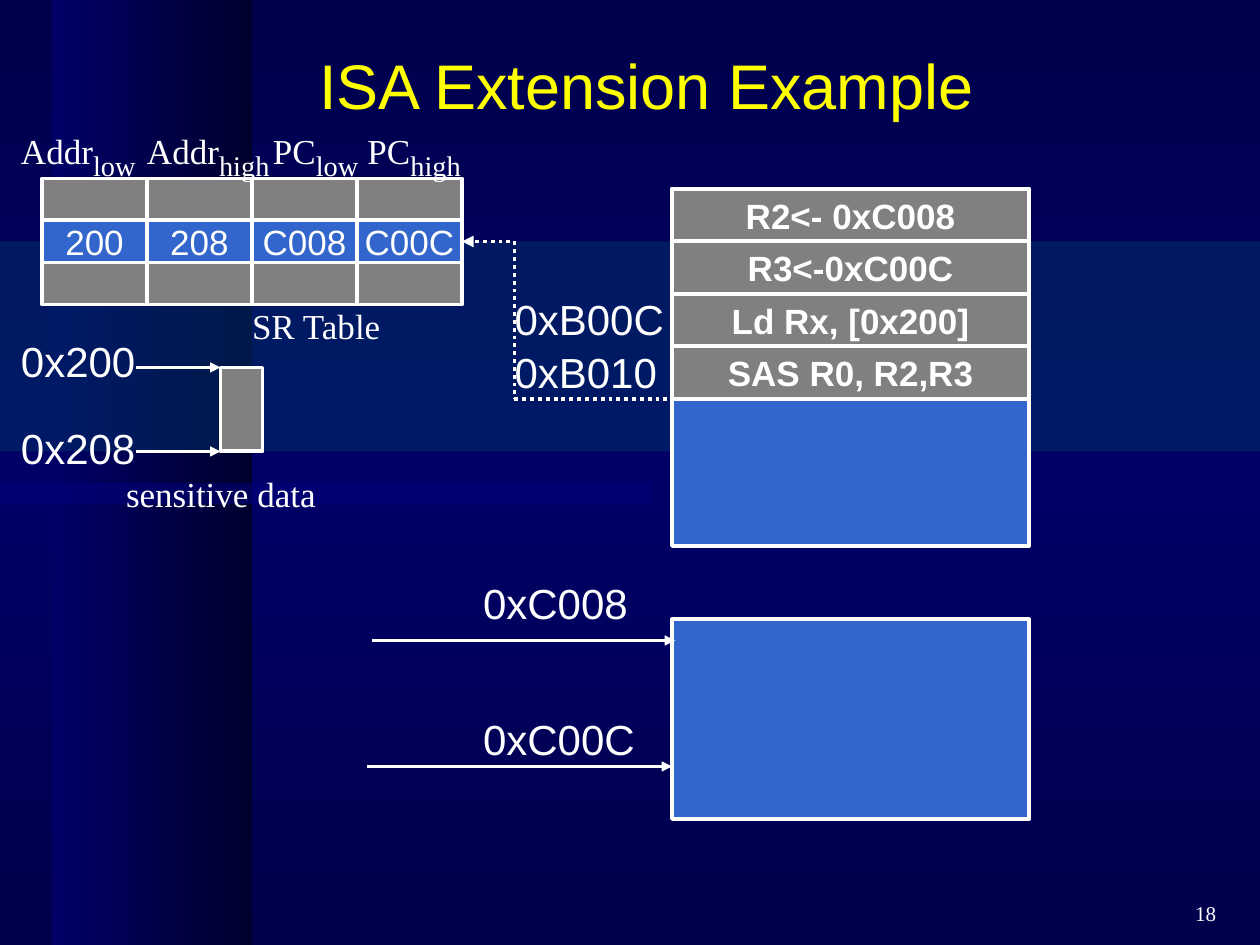
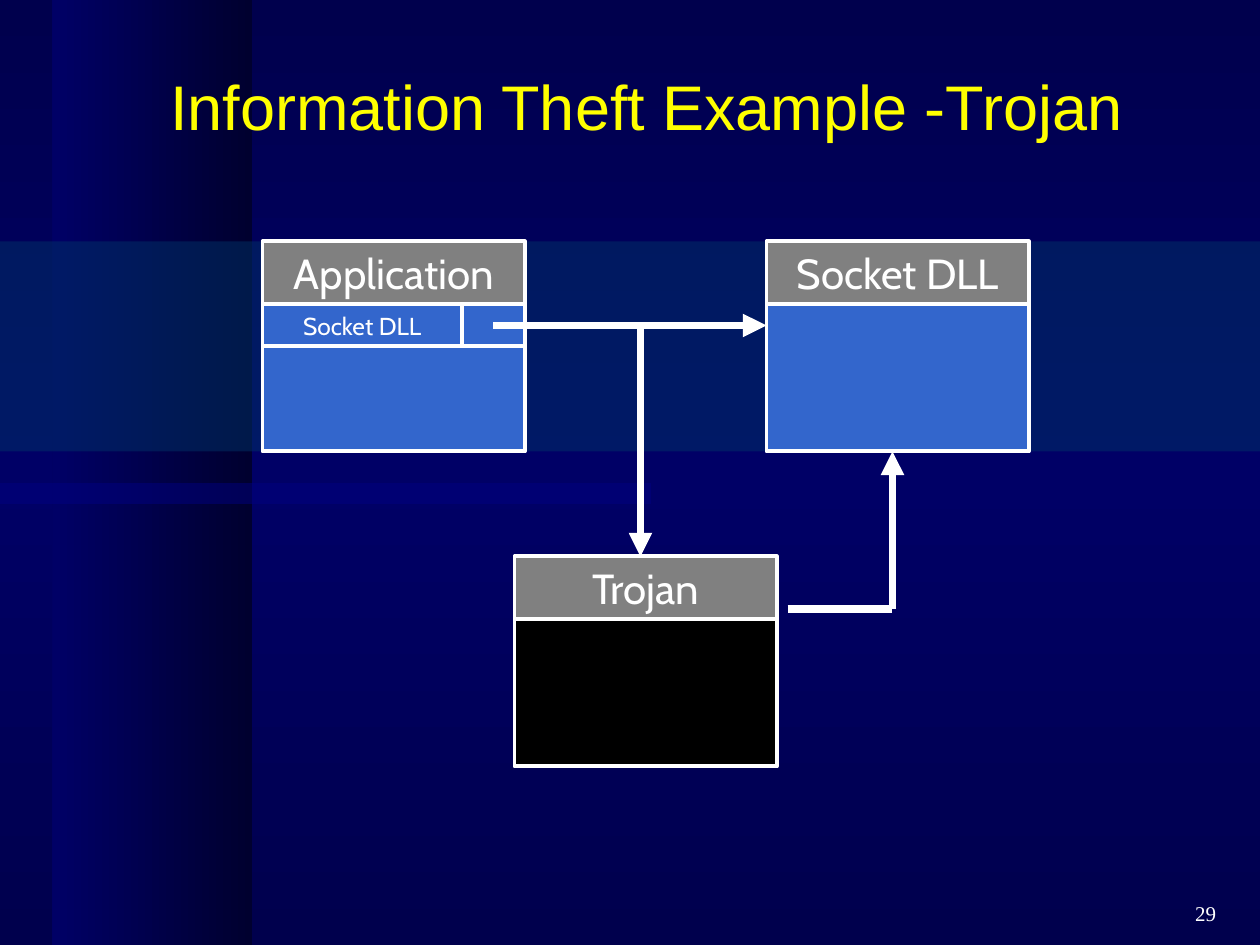
"""Build two slides on sensitive-data protection: an ISA extension and a Trojan example."""
from copy import deepcopy

from lxml.etree import SubElement
from pptx import Presentation
from pptx.dml.color import RGBColor
from pptx.enum.dml import MSO_LINE
from pptx.enum.shapes import MSO_CONNECTOR, MSO_SHAPE
from pptx.enum.text import MSO_ANCHOR as ANCHOR, PP_ALIGN as ALIGN
from pptx.oxml.ns import qn
from pptx.util import Inches, Pt

COLORS = {
    "edge": "00004D", "middle": "000066", "pillar_dark": "00002F",
    "strip": "000080", "band": "003366", "title": "FFFF00", "white": "FFFFFF",
    "gray": "808080", "blue": "3366CC", "black": "000000",
}
RGB = {name: RGBColor.from_string(value) for name, value in COLORS.items()}
SERIF = "Times New Roman"

presentation = Presentation()
presentation.slide_width, presentation.slide_height = Inches(10), Inches(7.5)
COLUMN = presentation.slide_width / 120
ROW = presentation.slide_height / 90


def add_box(slide, left, top, width, height, text="", size=20, font="Arial",
            color="white", fill=None):
    """Add a filled, outlined rectangle, or a plain label when there is no fill."""
    place = [round(left * COLUMN), round(top * ROW), round(width * COLUMN), round(height * ROW)]
    if fill:
        shape = slide.shapes.add_shape(MSO_SHAPE.RECTANGLE, *place)
        shape.shadow.inherit = False
        shape.fill.solid()
        shape.fill.fore_color.rgb = RGB[fill]
        shape.line.color.rgb = RGB["white"]
        shape.line.width = Pt(2.25)
    else:
        shape = slide.shapes.add_textbox(*place)
    frame = shape.text_frame
    frame.word_wrap = not fill
    if fill:
        frame.vertical_anchor = ANCHOR.MIDDLE
    else:
        frame.margin_left = frame.margin_right = frame.margin_top = frame.margin_bottom = 0
    if text:
        frame.text = text
        paragraph = frame.paragraphs[0]
        paragraph.alignment = ALIGN.CENTER if fill else ALIGN.LEFT
        run_font = paragraph.runs[0].font
        run_font.name, run_font.size = font, Pt(size)
        run_font.color.rgb = RGB[color]
    return shape


def add_line(slide, start, end, width, arrow=True, dotted=False):
    """Add a white straight line between two grid points."""
    (x1, y1), (x2, y2) = start, end
    line = slide.shapes.add_connector(
        MSO_CONNECTOR.STRAIGHT, round(x1 * COLUMN), round(y1 * ROW),
        round(x2 * COLUMN), round(y2 * ROW))
    line.line.color.rgb = RGB["white"]
    line.line.width = Pt(width)
    if dotted:
        line.line.dash_style = MSO_LINE.ROUND_DOT
    properties = line.element.spPr
    if arrow:
        SubElement(properties.find(qn("a:ln")), qn("a:tailEnd"), type="triangle")
    SubElement(properties, qn("a:effectLst"))
    return line


slides = []
for title, title_row, number in [("ISA Extension Example", 3, "18"),
                                 ("Information Theft Example -Trojan", 5, "29")]:
    slide = presentation.slides.add_slide(presentation.slide_layouts[6])
    slides.append(slide)

    background = slide.background.fill
    background.gradient()
    background.gradient_angle = 90
    for stop, color, position in zip(background.gradient_stops, ["edge", "middle"], [0, 0.5]):
        stop.color.rgb = RGB[color]
        stop.position = position
    stop_list = slide.element.find(".//" + qn("a:gsLst"))
    last_stop = deepcopy(stop_list[0])
    last_stop.set("pos", "100000")
    stop_list.append(last_stop)

    pillar = add_box(slide, 5, 0, 19, 90, fill="pillar_dark")
    pillar.line.fill.background()
    pillar.fill.gradient()
    pillar.fill.gradient_angle = 180
    for stop, color in zip(pillar.fill.gradient_stops, ["pillar_dark", "middle"]):
        stop.color.rgb = RGB[color]

    for top, width, height, color in [(46, 62, 2, "strip"), (23, 120, 20, "band")]:
        band = add_box(slide, 0, top, width, height, fill=color)
        band.line.fill.background()
        fill_color = band.element.spPr.find(qn("a:solidFill"))[0]
        SubElement(fill_color, qn("a:alpha"), val="50000")

    title_box = add_box(slide, 0, title_row, 120, 10, title, 36, color="title")
    title_box.text_frame.margin_left = Inches(0.36)
    title_box.text_frame.margin_right = Inches(0.1)
    number_box = add_box(slide, 92, 84, 25, 6, number, 12, SERIF)
    number_box.text_frame.margin_right = Inches(0.1)
    for shape, alignment in [(title_box, ALIGN.CENTER), (number_box, ALIGN.RIGHT)]:
        shape.text_frame.vertical_anchor = ANCHOR.MIDDLE
        shape.text_frame.paragraphs[0].alignment = alignment

isa_slide, trojan_slide = slides

add_box(isa_slide, 64, 18, 34, 34, fill="blue")
add_box(isa_slide, 64, 59, 34, 19, fill="blue")
add_box(isa_slide, 21, 35, 4, 8, fill="gray")

for index, instruction in enumerate(
        ["R2<- 0xC008", "R3<-0xC00C", "Ld Rx, [0x200]", "SAS R0, R2,R3"]):
    box = add_box(isa_slide, 64, 18 + 5 * index, 34, 5, instruction, fill="gray")
    box.text_frame.paragraphs[0].runs[0].font.bold = True

for row in (0, 2):
    for column in range(4):
        add_box(isa_slide, 4 + 10 * column, 17 + 4 * row, 10, 4, fill="gray")
for column, value in enumerate(["200", "208", "C008", "C00C"]):
    last_entry = add_box(isa_slide, 4 + 10 * column, 21, 10, 4, value, fill="blue")

for left, name, subscript in [(2, "Addr", "low"), (14, "Addr", "high"),
                              (26, "PC", "low"), (35, "PC", "high")]:
    heading = add_box(isa_slide, left, 11, 14, 6.4, name, font=SERIF)
    run = heading.text_frame.paragraphs[0].add_run()
    run.text = subscript
    run.font.name, run.font.size = SERIF, Pt(28)
    run.font.color.rgb = RGB["white"]
    run.font.element.set("baseline", "-25000") if hasattr(run.font, "element") else \
        heading.element.findall(".//" + qn("a:rPr"))[-1].set("baseline", "-25000")

for left, top, width, address in [
        (2, 32, 11, "0x200"), (2, 40.2, 11, "0x208"), (49, 28, 16, "0xB00C"),
        (49, 33, 14, "0xB010"), (46, 55, 16, "0xC008"), (46, 68, 16, "0xC00C")]:
    add_box(isa_slide, left, top, width, 4.8, address, 24)
for left, top, caption in [(24, 29, "SR Table"), (12, 45, "sensitive data")]:
    add_box(isa_slide, left, top, 20, 4, caption, font=SERIF)

for start, end in [((13, 35), (21, 35)), ((13, 43), (21, 43)),
                   ((35.4, 61), (64.3, 61)), ((35, 73), (64, 73))]:
    add_line(isa_slide, start, end, 1.5)
table_arrow = add_line(isa_slide, (48.6, 23), (44, 23), 2.25, dotted=True)
table_arrow.end_connect(last_entry, 3)
for start, end in [((49, 23), (49, 38)), ((49, 38), (64, 38))]:
    add_line(isa_slide, start, end, 2.25, arrow=False, dotted=True)

for left, top, module, body_color in [(25, 23, "Application", "blue"),
                                      (73, 23, "Socket DLL", "blue"),
                                      (49, 53, "Trojan", "black")]:
    add_box(trojan_slide, left, top + 6, 25, 14, fill=body_color)
    add_box(trojan_slide, left, top, 25, 6, module, 24, "Cabin", fill="gray")
add_box(trojan_slide, 25, 29, 19, 4, "Socket DLL", 14, "Cabin", fill="blue")
add_box(trojan_slide, 44, 29, 6, 4, fill="blue")

for start, end, arrow in [((47, 31), (73, 31), True), ((47, 31), (61, 31), False),
                          ((61, 31), (61, 53), True), ((85, 58), (85, 43), True),
                          ((75, 58), (85, 58), False)]:
    add_line(trojan_slide, start, end, 4.5, arrow)

presentation.save("out.pptx")
